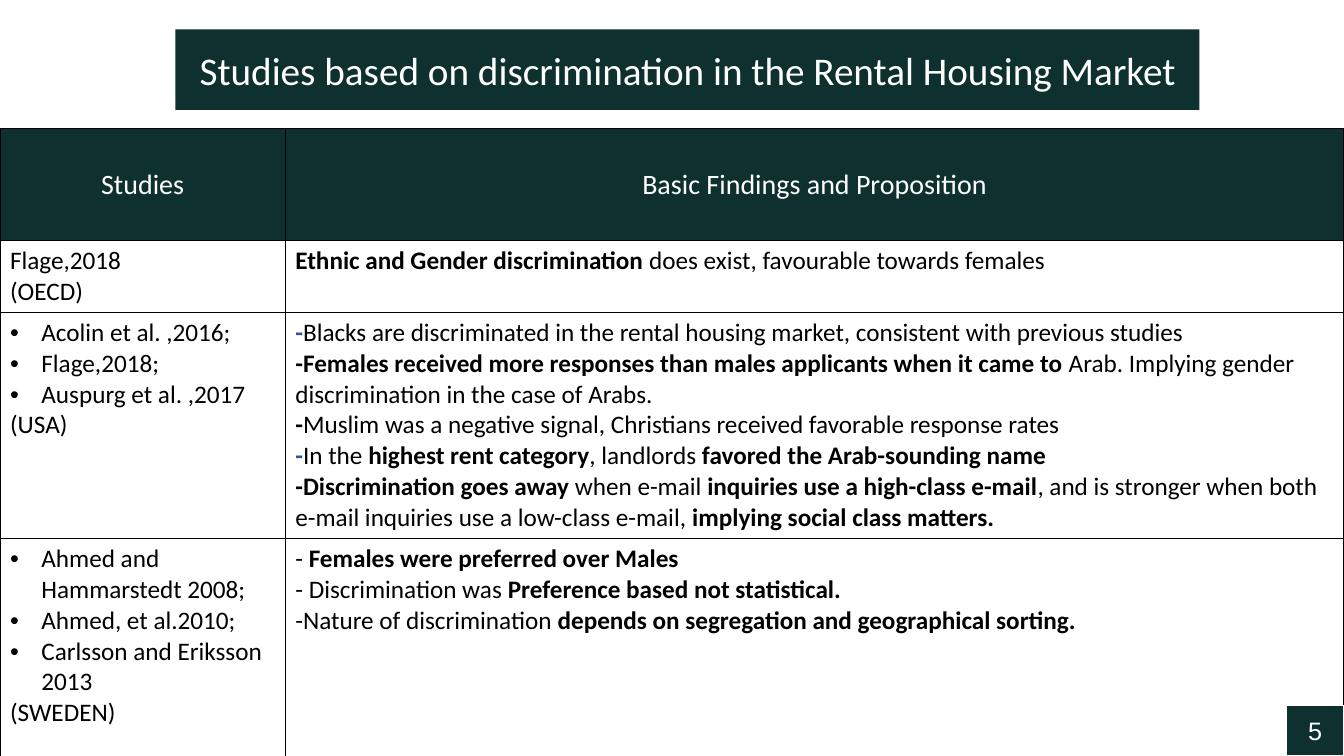
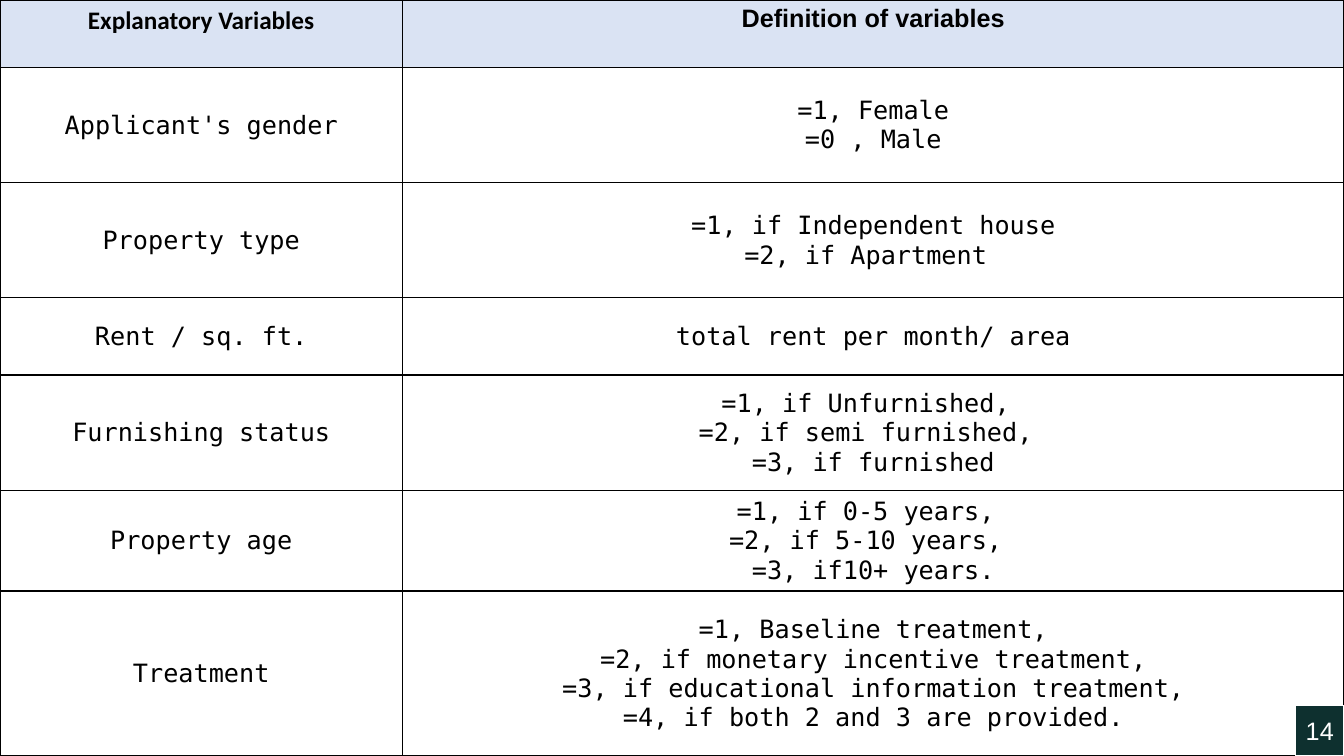
from lxml import etree
from pptx import Presentation
from pptx.dml.color import RGBColor
from pptx.enum import shapes, text
from pptx.oxml import ns
from pptx.util import Cm, Pt

COLORS = {"dark": "0E302F", "pale": "DAE3F3", "accent": "2F5597",
          "white": "FFFFFF", "black": "000000"}
WIDTH, HEIGHT = 33.87, 19.05
BULLET = "• "

# In paragraphs, *stars* enclose bold text and *~ opens bold accent text.
TITLE = "Studies based on discrimination in the Rental Housing Market"
STUDIES = [
    (["Studies"], ["Basic Findings and Proposition"]),
    (["Flage,2018", "(OECD)"],
     ["*Ethnic and Gender discrimination *does exist, favourable towards females"]),
    (["• Acolin et al. ,2016;", "• Flage,2018;", "• Auspurg et al. ,2017", "(USA)"],
     ["*~-*Blacks are discriminated in the rental housing market, consistent with previous studies",
      "*-Females received more responses than males applicants when it came to *"
      "Arab. Implying gender discrimination in the case of Arabs.",
      "*-*Muslim was a negative signal, Christians received favorable response rates",
      "*~-*In the *highest rent category*, landlords *favored the Arab-sounding name*",
      "*-Discrimination goes away *when e-mail *inquiries use a high-class e-mail*, "
      "and is stronger when both e-mail inquiries use a low-class e-mail, "
      "*implying social class matters.*"]),
    (["• Ahmed and Hammarstedt 2008;", "• Ahmed, et al.2010;",
      "• Carlsson and Eriksson 2013", "(SWEDEN)"],
     ["- *Females were preferred over Males*",
      "- Discrimination was *Preference based not statistical.*",
      "-Nature of discrimination *depends on segregation and geographical sorting.*"]),
]
VARIABLES = [
    (["*Explanatory Variables*"], ["*Definition of variables*"]),
    (["Applicant's gender"], ["=1, Female", "=0 , Male"]),
    (["Property type"], ["=1, if Independent house", "=2, if Apartment "]),
    (["Rent / sq. ft."], ["total rent per month/ area"]),
    (["Furnishing status"],
     ["=1, if Unfurnished, ", "=2, if semi furnished, ", "=3, if furnished"]),
    (["Property age"], ["=1, if 0-5 years, ", "=2, if 5-10 years, ", "=3, if10+ years."]),
    (["Treatment"],
     ["=1, Baseline treatment,", "=2, if monetary incentive treatment,",
      "=3, if educational information treatment,", "=4, if both 2 and 3 are provided."]),
]


def rgb(name):
    return RGBColor.from_string(COLORS[name])


def add_bullet(paragraph):
    properties = paragraph._p.get_or_add_pPr()
    properties.set("marL", str(Cm(0.79)))
    properties.set("indent", str(-Cm(0.79)))
    etree.SubElement(properties, ns.qn("a:buFont"), typeface="Arial")
    etree.SubElement(properties, ns.qn("a:buChar"), char=BULLET.strip())


def write(frame, paragraphs, font="Calibri", size=18, color="black", centered=False):
    """Fill a text frame, reading the bold, accent and bullet marks."""
    frame.word_wrap = True
    for index, line in enumerate(paragraphs):
        paragraph = frame.add_paragraph() if index else frame.paragraphs[0]
        paragraph.alignment = text.PP_ALIGN.CENTER if centered else text.PP_ALIGN.LEFT
        if line.startswith(BULLET):
            add_bullet(paragraph)
            line = line.removeprefix(BULLET)
        for position, part in enumerate(line.split("*")):
            if not part:
                continue
            run = paragraph.add_run()
            run.text = part.removeprefix("~")
            run.font.name, run.font.size = font, Pt(size)
            run.font.bold = position % 2 == 1
            run.font.color.rgb = rgb("accent" if part.startswith("~") else color)


def add_box(slide, left, top, width, height, label, line=None, **style):
    """Add a dark rectangle with centred white text."""
    box = slide.shapes.add_shape(shapes.MSO_SHAPE.RECTANGLE,
                                 Cm(left), Cm(top), Cm(width), Cm(height))
    box.shadow.inherit = False
    box.fill.solid()
    box.fill.fore_color.rgb = rgb("dark")
    if line:
        box.line.color.rgb, box.line.width = rgb(line), Pt(1)
    else:
        box.line.fill.background()
    box.text_frame.vertical_anchor = text.MSO_ANCHOR.MIDDLE
    write(box.text_frame, [label], color="white", centered=True, **style)
    return box


def add_page_number(slide, number, width):
    height = 1.27
    badge = add_box(slide, WIDTH - width, HEIGHT - height, width, height,
                    str(number), line="white", font="Arial")
    badge.text_frame.margin_left = badge.text_frame.margin_right = 0


def set_borders(cell):
    properties = cell._tc.get_or_add_tcPr()
    for side in ("lnL", "lnR", "lnT", "lnB"):
        line = etree.SubElement(properties, ns.qn(f"a:{side}"), w=str(Pt(1)))
        fill = etree.SubElement(line, ns.qn("a:solidFill"))
        etree.SubElement(fill, ns.qn("a:srgbClr"), val=COLORS["black"])


def add_grid(slide, top, widths, heights, rows, style_for):
    """Add a table; style_for(row, column) gives fill, middle, tight and text format."""
    table = slide.shapes.add_table(len(rows), len(widths), 0, Cm(top),
                                   Cm(sum(widths)), Cm(sum(heights))).table
    table.first_row = table.horz_banding = False
    for column, width in zip(table.columns, widths):
        column.width = Cm(width)
    for row, height in zip(table.rows, heights):
        row.height = Cm(height)
    for r, row in enumerate(rows):
        for c, paragraphs in enumerate(row):
            style = style_for(r, c)
            cell = table.cell(r, c)
            set_borders(cell)
            cell.fill.solid()
            cell.fill.fore_color.rgb = rgb(style.pop("fill", "white"))
            if style.pop("middle", False):
                cell.vertical_anchor = text.MSO_ANCHOR.MIDDLE
            if style.pop("tight", False):
                cell.margin_left = cell.margin_right = cell.margin_top = Cm(0.03)
                cell.margin_bottom = 0
            write(cell.text_frame, paragraphs, **style)


def study_style(row, column):
    if row == 0:
        return dict(fill="dark", middle=True, size=20, color="white", centered=True)
    return {}


def variable_style(row, column):
    if row == 0:
        return dict(fill="pale", font=("Calibri", "Arial")[column], centered=True)
    return dict(middle=True, tight=True, font="DejaVu Sans Mono", centered=True)


def main():
    presentation = Presentation()
    presentation.slide_width, presentation.slide_height = Cm(WIDTH), Cm(HEIGHT)
    blank = presentation.slide_layouts[6]

    slide = presentation.slides.add_slide(blank)
    add_box(slide, 4.42, 0.74, 25.81, 2.03, TITLE, size=28)
    add_grid(slide, 3.23, [7.19, 26.68], [2.84, 1.8, 5.7, 5.48], STUDIES, study_style)
    add_page_number(slide, 5, 1.45)

    slide = presentation.slides.add_slide(blank)
    add_grid(slide, 0, [10.14, 23.73], [1.7, 2.9, 2.9, 1.95, 2.9, 2.54, 4.16],
             VARIABLES, variable_style)
    add_page_number(slide, 14, 1.22)

    presentation.save("out.pptx")


if __name__ == "__main__":
    main()
